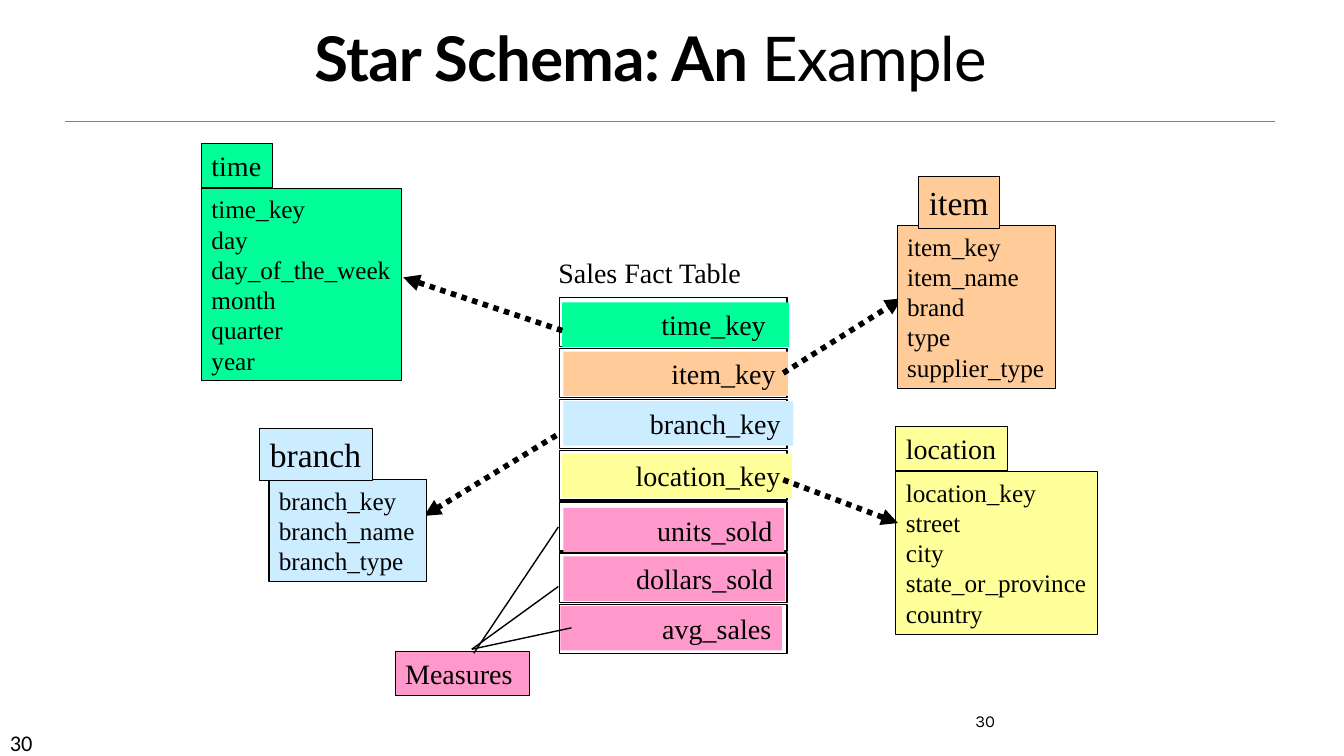
from pptx import Presentation
from pptx.dml.color import RGBColor
from pptx.enum.dml import MSO_LINE
from pptx.enum.shapes import MSO_CONNECTOR, MSO_SHAPE
from pptx.enum.text import MSO_ANCHOR, PP_ALIGN
from pptx.oxml.ns import qn
from pptx.util import Cm, Pt
from lxml import etree

RECTANGLE = MSO_SHAPE.RECTANGLE
STRAIGHT = MSO_CONNECTOR.STRAIGHT
DOTTED = MSO_LINE.ROUND_DOT
TOP, BOTTOM = MSO_ANCHOR.TOP, MSO_ANCHOR.BOTTOM
LEFT, CENTER = PP_ALIGN.LEFT, PP_ALIGN.CENTER

BLACK = RGBColor(0x00, 0x00, 0x00)
GRAY = RGBColor(0x80, 0x80, 0x80)
GREEN = RGBColor(0x00, 0xFF, 0x99)
ORANGE = RGBColor(0xFF, 0xCC, 0x99)
BLUE = RGBColor(0xCC, 0xEC, 0xFF)
YELLOW = RGBColor(0xFF, 0xFF, 0x99)
PINK = RGBColor(0xFF, 0x99, 0xCC)
SERIF = "Times New Roman"

# Dimension: heading, heading size, heading box, fields, field box, fill
TIME = ("time", 20, (5.08, 3.61, 1.78, 1.12),
        ["time_key", "day", "day_of_the_week", "month", "quarter", "year"],
        (5.08, 4.75, 5.05, 4.85), GREEN)
LOCATION = ("location", 20, (22.58, 10.74, 2.82, 1.12),
            ["location_key", "street", "city", "state_or_province", "country"],
            (22.58, 11.89, 5.08, 4.09), YELLOW)
ITEM = ("item", 24, (23.16, 4.45, 2.03, 1.3),
        ["item_key", "item_name", "brand", "type", "supplier_type"],
        (22.61, 5.69, 3.99, 4.09), ORANGE)
BRANCH = ("branch", 24, (6.55, 10.8, 2.84, 1.3),
          ["branch_key", "branch_name", "branch_type"],
          (6.78, 12.09, 3.96, 2.57), BLUE)

# Fact column: name, left, top, width, text inset, fill
FACT_COLUMNS = [
    ("time_key", 14.17, 7.62, 5.72, 2.5, GREEN),
    ("item_key", 14.2, 8.86, 5.66, 2.72, ORANGE),
    ("branch_key", 14.2, 10.11, 5.79, 2.18, BLUE),
    ("location_key", 14.17, 11.43, 5.79, 1.85, YELLOW),
    ("units_sold", 14.2, 12.8, 5.56, 2.36, PINK),
    ("dollars_sold", 14.2, 14.02, 5.59, 1.83, PINK),
    ("avg_sales", 14.12, 15.27, 5.59, 2.57, PINK),
]
FACT_LEFT, FACT_TOP, FACT_STEP = 14.1, 7.49, 1.29
FACT_WIDTH, FACT_HEIGHT = 5.74, 1.24

MEASURE_LINES = [
    (11.94, 16.46, 14.07, 13.28),
    (11.89, 16.36, 14.07, 14.78),
    (11.89, 16.36, 14.4, 15.82),
]
KEY_ARROWS = [
    (14.02, 10.97, 10.69, 13.0),
    (14.17, 8.33, 10.16, 6.99),
    (19.74, 12.09, 22.63, 13.18),
    (19.74, 9.4, 22.73, 7.52),
]


def centimetres(values):
    return [Cm(value) for value in values]


def write_lines(shape, lines, size, font_name=SERIF, inset=0.25):
    frame = shape.text_frame
    frame.word_wrap = True
    frame.vertical_anchor = TOP
    frame.margin_left, frame.margin_right = Cm(inset), Cm(0)
    frame.margin_top = frame.margin_bottom = Cm(0.13)
    frame.text = "\n".join(lines)
    for paragraph in frame.paragraphs:
        paragraph.alignment = LEFT
        paragraph.font.name = font_name
        paragraph.font.size = Pt(size)
        paragraph.font.color.rgb = BLACK


def add_label(slide, box, text, size, font_name=SERIF):
    label = slide.shapes.add_textbox(*centimetres(box))
    write_lines(label, [text], size, font_name)


def add_box(shapes, box, fill=None, line_width=None):
    shape = shapes.add_shape(RECTANGLE, *centimetres(box))
    shape.shadow.inherit = False
    if fill is None:
        shape.fill.background()
    else:
        shape.fill.solid()
        shape.fill.fore_color.rgb = fill
    if line_width is None:
        shape.line.fill.background()
    else:
        shape.line.color.rgb = BLACK
        shape.line.width = Pt(line_width)
    return shape


def add_line(slide, ends, color=BLACK, width=1, arrow=False):
    connector = slide.shapes.add_connector(STRAIGHT, *centimetres(ends))
    connector.line.color.rgb = color
    connector.line.width = Pt(width)
    properties = connector._element.spPr
    if arrow:
        connector.line.dash_style = DOTTED
        outline = properties.find(qn("a:ln"))
        etree.SubElement(outline, qn("a:tailEnd"), type="triangle")
    etree.SubElement(properties, qn("a:effectLst"))


def add_title(slide):
    title = slide.shapes.title
    title.left, title.top, title.width, title.height = centimetres(
        (5.61, 0.38, 21.59, 2.13))
    title.text_frame.vertical_anchor = BOTTOM
    paragraph = title.text_frame.paragraphs[0]
    paragraph.alignment = CENTER
    paragraph.line_spacing = 0.85
    paragraph.font.name = "Lato"
    paragraph.font.size = Pt(44)
    paragraph.font.color.rgb = BLACK
    for text, bold in (("Star Schema: An ", True), ("Example", False)):
        run = paragraph.add_run()
        run.text = text
        run.font.bold = bold
        run._r.get_or_add_rPr().set("spc", "-50")


def add_dimension(slide, dimension):
    heading, heading_size, heading_box, fields, field_box, fill = dimension
    group = slide.shapes.add_group_shape()
    write_lines(add_box(group.shapes, field_box, fill, 0.75), fields, 18)
    write_lines(add_box(group.shapes, heading_box, fill, 0.75),
                [heading], heading_size)


def add_fact_table(slide):
    add_label(slide, (13.82, 6.32, 5.16, 1.12), "Sales Fact Table", 20)
    for index, column in enumerate(FACT_COLUMNS):
        name, left, top, width, inset, fill = column
        row_top = FACT_TOP + index * FACT_STEP
        add_box(slide.shapes, (FACT_LEFT, row_top, FACT_WIDTH, FACT_HEIGHT),
                line_width=1)
        cell = add_box(slide.shapes, (left, top, width, 1.12), fill)
        write_lines(cell, [name], 20, inset=inset)


def main():
    presentation = Presentation()
    presentation.slide_width, presentation.slide_height = Cm(33.87), Cm(19.05)
    slide = presentation.slides.add_slide(presentation.slide_layouts[5])

    # Title, rule and page numbers
    add_line(slide, (1.65, 3.05, 32.13, 3.05), GRAY, 0.5)
    add_label(slide, (0, 18.24, 2.97, 0.76), "30", 16, "Calibri")
    add_label(slide, (24.33, 17.78, 5.28, 1.27), "30", 12, "Karla")
    add_title(slide)

    # Dimensions behind the arrows, and the fact table
    add_dimension(slide, TIME)
    add_dimension(slide, LOCATION)
    add_fact_table(slide)

    # Measures
    measures = add_box(slide.shapes, (9.96, 16.41, 3.38, 1.12), PINK, 0.75)
    write_lines(measures, ["Measures"], 20)
    for ends in MEASURE_LINES:
        add_line(slide, ends)

    # Key arrows, and the dimensions in front of them
    for ends in KEY_ARROWS:
        add_line(slide, ends, width=4, arrow=True)
    add_dimension(slide, ITEM)
    add_dimension(slide, BRANCH)

    presentation.save("out.pptx")


if __name__ == "__main__":
    main()
